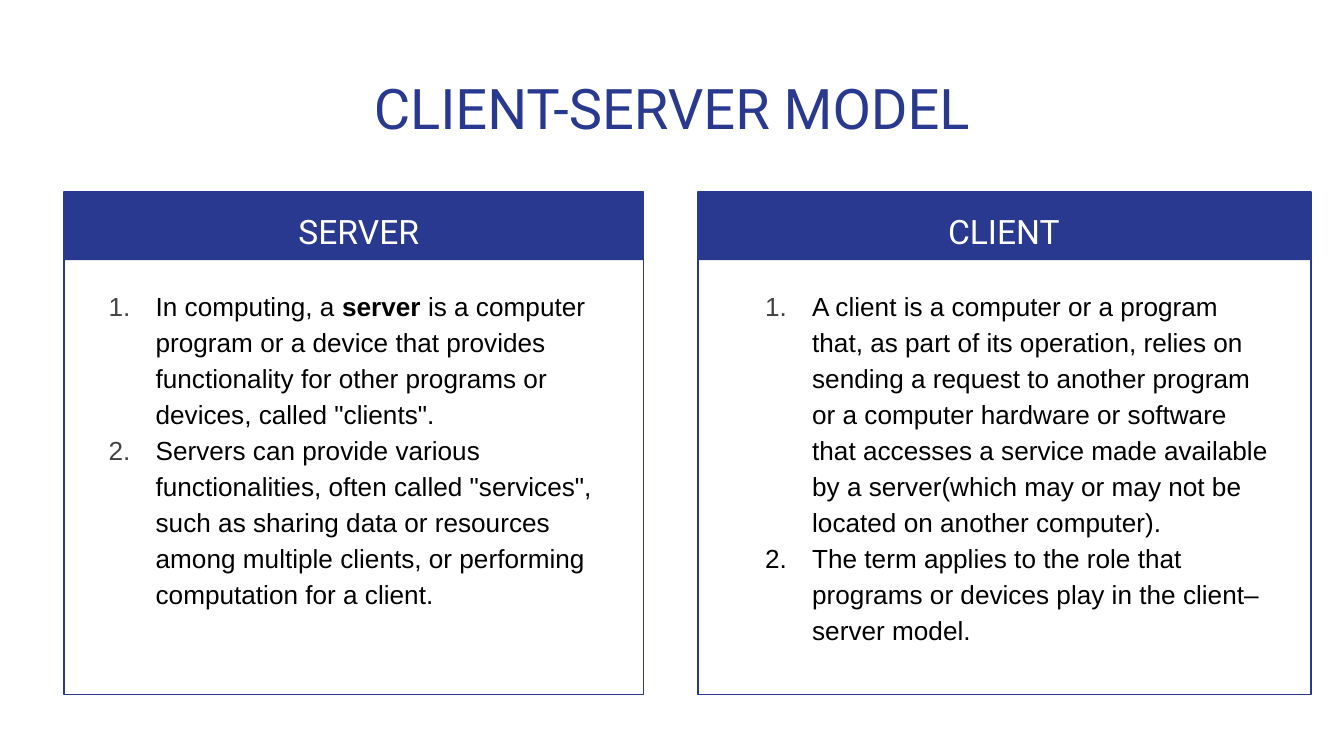
import pptx
import pptx.dml.color
import pptx.enum.shapes
import pptx.enum.text
import pptx.oxml
import pptx.oxml.ns
import pptx.util

NAVY = pptx.dml.color.RGBColor(0x2A, 0x39, 0x90)
GREY = pptx.dml.color.RGBColor(0x43, 0x43, 0x43)
BLACK = pptx.dml.color.RGBColor(0, 0, 0)
WHITE = pptx.dml.color.RGBColor(0xFF, 0xFF, 0xFF)

PX = 4572  # 200 px to the inch
SLIDE_SIZE = (2000, 1125)
TITLE = ("CLIENT-SERVER MODEL", (68, 90, 1864, 132))
MARGIN = 20
CARD_TOP, CARD_HEIGHT, BAND_HEIGHT = 286, 748, 101
HEADING_TOP, HEADING_WIDTH, HEADING_HEIGHT = 285, 848, 100
LIST_TOP, LIST_WIDTH, LIST_HEIGHT = 405, 828, 612

# Each list item is a number colour and its (text, bold) runs.
CARDS = [
    {
        "heading": "SERVER", "left": 95, "band_left": 95, "width": 863,
        "heading_left": 110, "list_left": 112,
        "items": [
            (GREY, [
                ("In computing, a ", False),
                ("server", True),
                (" is a computer program or a device that provides functionality "
                 "for other programs or devices, called \"clients\".", False),
            ]),
            (GREY, [
                ("Servers can provide various functionalities, often called "
                 "\"services\", such as sharing data or resources among multiple "
                 "clients, or performing computation for a client.", False),
            ]),
        ],
    },
    {
        "heading": "CLIENT", "left": 1039, "band_left": 1039, "width": 912,
        "heading_left": 1070, "list_left": 1089,
        "items": [
            (GREY, [
                ("A client is a computer or a program that, as part of its "
                 "operation, relies on sending a request to another program or a "
                 "computer hardware or software that accesses a service made "
                 "available by a server(which may or may not be located on another "
                 "computer).", False),
            ]),
            (BLACK, [
                ("The term applies to the role that programs or devices play in "
                 "the client–server model.", False),
            ]),
        ],
    },
]


def emu(*lengths):
    return [length * PX for length in lengths]


def add_rectangle(slide, area, fill=None):
    """Add a filled band, or an outlined frame when no fill is given."""
    box = slide.shapes.add_shape(
        pptx.enum.shapes.MSO_SHAPE.RECTANGLE, *emu(*area))
    box.shadow.inherit = False
    if fill is None:
        box.fill.background()
        box.line.color.rgb = NAVY
        box.line.width = pptx.util.Pt(0.75)
    else:
        box.fill.solid()
        box.fill.fore_color.rgb = fill
        box.line.fill.background()


def add_text_frame(slide, area):
    frame = slide.shapes.add_textbox(*emu(*area)).text_frame
    frame.word_wrap = True
    frame.vertical_anchor = pptx.enum.text.MSO_ANCHOR.TOP
    frame.margin_left = frame.margin_right = MARGIN * PX
    frame.margin_top = frame.margin_bottom = MARGIN * PX
    return frame


def add_run(para, text, font, size, color, bold=False):
    span = para.add_run()
    span.text = text
    span.font.name = font
    span.font.size = pptx.util.Pt(size)
    span.font.color.rgb = color
    span.font.bold = bold


def number_paragraph(para, color):
    """Give the paragraph a hanging automatic number in the given colour."""
    properties = para._p.get_or_add_pPr()
    properties.set("marL", str(100 * PX))
    properties.set("indent", str(-70 * PX))
    namespace = pptx.oxml.ns.nsdecls("a")
    for markup in (
        f'<a:buClr {namespace}><a:srgbClr val="{color}"/></a:buClr>',
        f'<a:buFont {namespace} typeface="Arial"/>',
        f'<a:buAutoNum {namespace} type="arabicPeriod"/>',
    ):
        properties.append(pptx.oxml.parse_xml(markup))


def add_centred_line(frame, text, size, color, spacing=None):
    para = frame.paragraphs[0]
    para.alignment = pptx.enum.text.PP_ALIGN.CENTER
    para.line_spacing = spacing
    add_run(para, text, "Roboto", size, color)


def add_card(slide, card):
    width = card["width"]
    add_rectangle(slide, (card["band_left"], CARD_TOP, width, BAND_HEIGHT), NAVY)
    add_rectangle(slide, (card["left"], CARD_TOP, width, CARD_HEIGHT))

    heading = add_text_frame(
        slide, (card["heading_left"], HEADING_TOP, HEADING_WIDTH, HEADING_HEIGHT))
    add_centred_line(heading, card["heading"], 18, WHITE, 1.15)

    frame = add_text_frame(
        slide, (card["list_left"], LIST_TOP, LIST_WIDTH, LIST_HEIGHT))
    for index, (number_color, runs) in enumerate(card["items"]):
        para = frame.add_paragraph() if index else frame.paragraphs[0]
        para.line_spacing = 1.15
        number_paragraph(para, number_color)
        for text, bold in runs:
            add_run(para, text, "Arial", 14, BLACK, bold)


def main():
    deck = pptx.Presentation()
    deck.slide_width, deck.slide_height = emu(*SLIDE_SIZE)
    slide = deck.slides.add_slide(deck.slide_layouts[6])

    title, area = TITLE
    add_centred_line(add_text_frame(slide, area), title, 30, NAVY)
    for card in CARDS:
        add_card(slide, card)
    deck.save("out.pptx")


if __name__ == "__main__":
    main()
